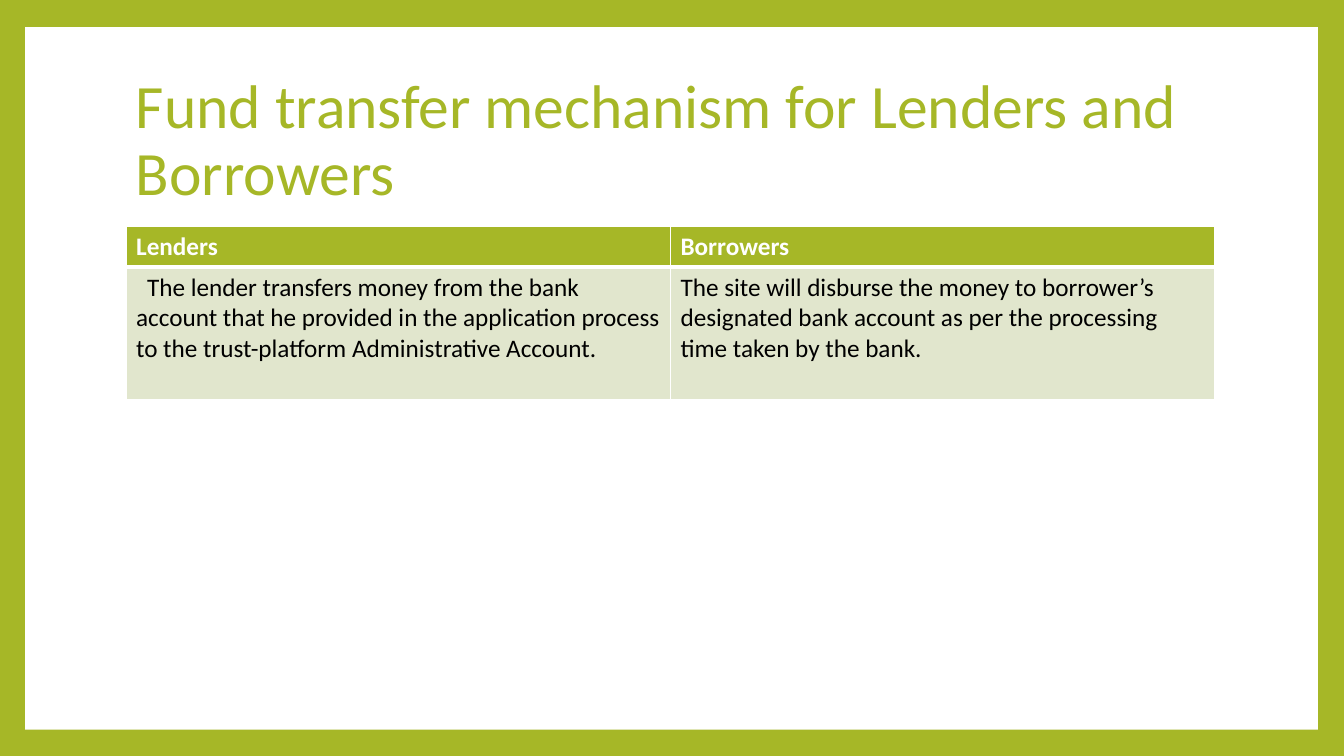
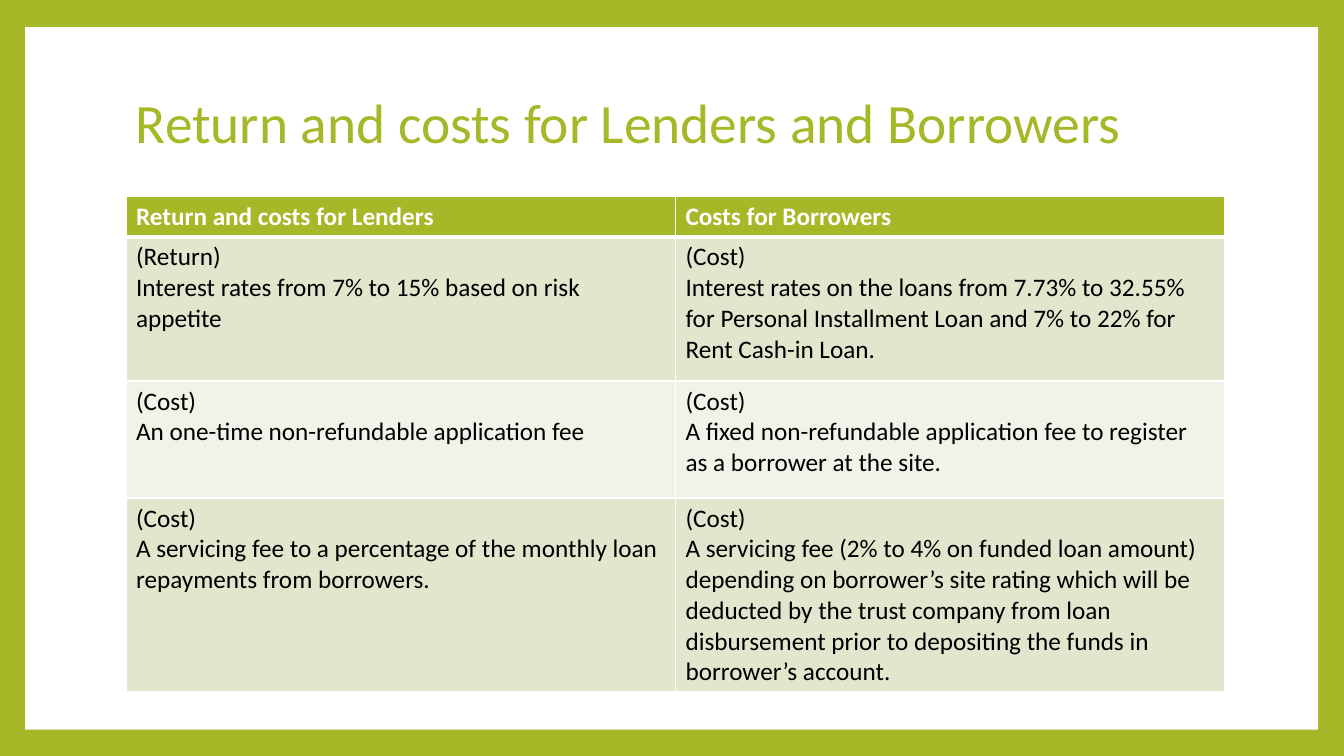
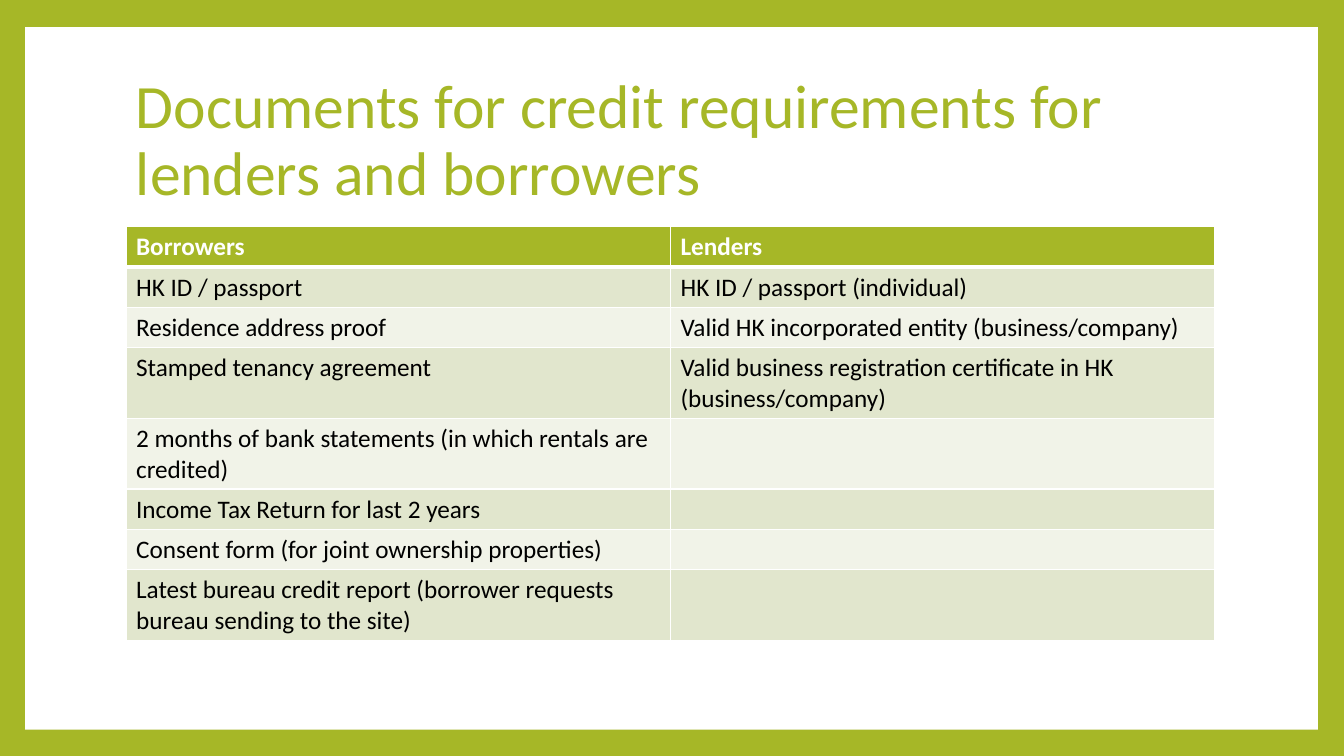
"""Build three slides that compare lenders and borrowers in tables."""
from lxml import etree
from pptx import Presentation
from pptx.dml.color import RGBColor
from pptx.enum import shapes, text
from pptx.oxml.ns import qn
from pptx.util import Inches, Pt

COLORS = {"green": "A6B727", "white": "FFFFFF", "black": "000000",
          "band": "E1E6CD", "pale": "F1F3E8"}
FONT = "Calibri"
LEFT, TITLE_TOP, TITLE_WIDTH = 1.25, 0.67, 10.8
BODY_SIZE = 18
THIN, THICK = 1, 3

SLIDES = [
    {
        "title": "Fund transfer mechanism for Lenders and Borrowers",
        "title_size": 44, "title_height": 1.48,
        "table_top": 2.25, "table_width": 10.8,
        "heights": [0.4, 1.31], "first_indent": 0.11,
        "rows": [
            ["Lenders", "Borrowers"],
            ["The lender transfers money from the bank account that he provided in the "
             "application process to the trust-platform Administrative Account.",
             "The site will disburse the money to borrower’s designated bank account as per "
             "the processing time taken by the bank."],
        ],
    },
    {
        "title": "Return and costs for Lenders and Borrowers",
        "title_size": 39.6, "title_height": 1.15,
        "table_top": 1.95, "table_width": 10.9,
        "heights": [0.4, 1.43, 1.16, 1.92],
        "rows": [
            ["Return and costs for Lenders", "Costs for Borrowers"],
            ["(Return)\nInterest rates from 7% to 15% based on risk appetite",
             "(Cost)\nInterest rates on the loans from 7.73% to 32.55% for Personal "
             "Installment Loan and 7% to 22% for Rent Cash-in Loan."],
            ["(Cost)\nAn one-time non-refundable application fee",
             "(Cost)\nA fixed non-refundable application fee to register as a borrower "
             "at the site."],
            ["(Cost)\nA servicing fee to a percentage of the monthly loan repayments "
             "from borrowers.",
             "(Cost)\nA servicing fee (2% to 4% on funded loan amount) depending on "
             "borrower’s site rating which will be deducted by the trust company from "
             "loan disbursement prior to depositing the funds in borrower’s account."],
        ],
    },
    {
        "title": "Documents for credit requirements for lenders and borrowers",
        "title_size": 44, "title_height": 1.48,
        "table_top": 2.25, "table_width": 10.8,
        "heights": [0.4, 0.4, 0.4, 0.7, 0.7, 0.4, 0.4, 0.7],
        "rows": [
            ["Borrowers", "Lenders"],
            ["HK ID / passport", "HK ID / passport (individual)"],
            ["Residence address proof", "Valid HK incorporated entity (business/company)"],
            ["Stamped tenancy agreement",
             "Valid business registration certificate in HK (business/company)"],
            ["2 months of bank statements (in which rentals are credited)", ""],
            ["Income Tax Return for last 2 years", ""],
            ["Consent form (for joint ownership properties)", ""],
            ["Latest bureau credit report (borrower requests bureau sending "
             "to the site)", ""],
        ],
    },
]


def color(name):
    """Return a named colour."""
    return RGBColor.from_string(COLORS[name])


def paint(fill, name):
    """Give a fill one solid colour."""
    fill.solid()
    fill.fore_color.rgb = color(name)


def set_font(paragraph, size, name, bold=False):
    """Set the font of a whole paragraph."""
    font = paragraph.font
    font.name, font.size, font.bold = FONT, Pt(size), bold
    font.color.rgb = color(name)


def add_frame(page, deck):
    """Draw the green page border around a white panel."""
    paint(page.background.fill, "green")
    left, top = Inches(0.25), Inches(0.27)
    panel = page.shapes.add_shape(shapes.MSO_SHAPE.RECTANGLE, left, top,
                                  deck.slide_width - 2 * left - Inches(0.01),
                                  Inches(6.97))
    panel.shadow.inherit = False
    paint(panel.fill, "white")
    panel.line.fill.background()


def add_title(page, left, top, width, height, wording, size):
    """Place the slide title in its box."""
    box = page.shapes.add_textbox(Inches(left), Inches(top), Inches(width), Inches(height))
    frame = box.text_frame
    frame.word_wrap = True
    frame.vertical_anchor = text.MSO_ANCHOR.MIDDLE
    paragraph = frame.paragraphs[0]
    paragraph.text = wording
    paragraph.line_spacing = 0.9
    set_font(paragraph, size, "green")


def set_borders(cell, top, bottom):
    """Draw white cell borders with the given top and bottom widths."""
    properties = cell._tc.get_or_add_tcPr()
    for side, width in (("L", THIN), ("R", THIN), ("T", top), ("B", bottom)):
        line = etree.SubElement(properties, qn(f"a:ln{side}"), w=str(Pt(width)))
        solid = etree.SubElement(line, qn("a:solidFill"))
        etree.SubElement(solid, qn("a:srgbClr"), val=COLORS["white"])


def fill_cell(cell, wording, row):
    """Write and colour one cell according to its row."""
    header = row == 0
    set_borders(cell, THICK if row == 1 else THIN, THICK if header else THIN)
    paint(cell.fill, "green" if header else "band" if row % 2 else "pale")
    cell.text = wording
    for paragraph in cell.text_frame.paragraphs:
        set_font(paragraph, BODY_SIZE, "white" if header else "black", header)


def add_comparison(page, left, top, width, heights, rows, first_indent=0):
    """Place a banded table of equal columns."""
    columns = len(rows[0])
    table = page.shapes.add_table(len(rows), columns, Inches(left), Inches(top),
                                  Inches(width), Inches(sum(heights))).table
    table.horz_banding = False
    for column in table.columns:
        column.width = Inches(width / columns)
    for index, (height, wordings) in enumerate(zip(heights, rows)):
        table.rows[index].height = Inches(height)
        for position, wording in enumerate(wordings):
            fill_cell(table.cell(index, position), wording, index)
    if first_indent:
        paragraph = table.cell(1, 0).text_frame.paragraphs[0]
        properties = paragraph._p.get_or_add_pPr()
        properties.set("marL", "0")
        properties.set("indent", str(Inches(first_indent)))


def add_slide(deck, content):
    """Build one slide with a frame, a title and a table."""
    page = deck.slides.add_slide(deck.slide_layouts[6])
    add_frame(page, deck)
    add_title(page, LEFT, TITLE_TOP, TITLE_WIDTH, content["title_height"],
              content["title"], content["title_size"])
    add_comparison(page, LEFT, content["table_top"], content["table_width"],
                   content["heights"], content["rows"], content.get("first_indent", 0))


def main():
    """Build and save the deck."""
    deck = Presentation()
    deck.slide_width, deck.slide_height = Inches(13.33), Inches(7.5)
    for content in SLIDES:
        add_slide(deck, content)
    deck.save("out.pptx")


if __name__ == "__main__":
    main()
